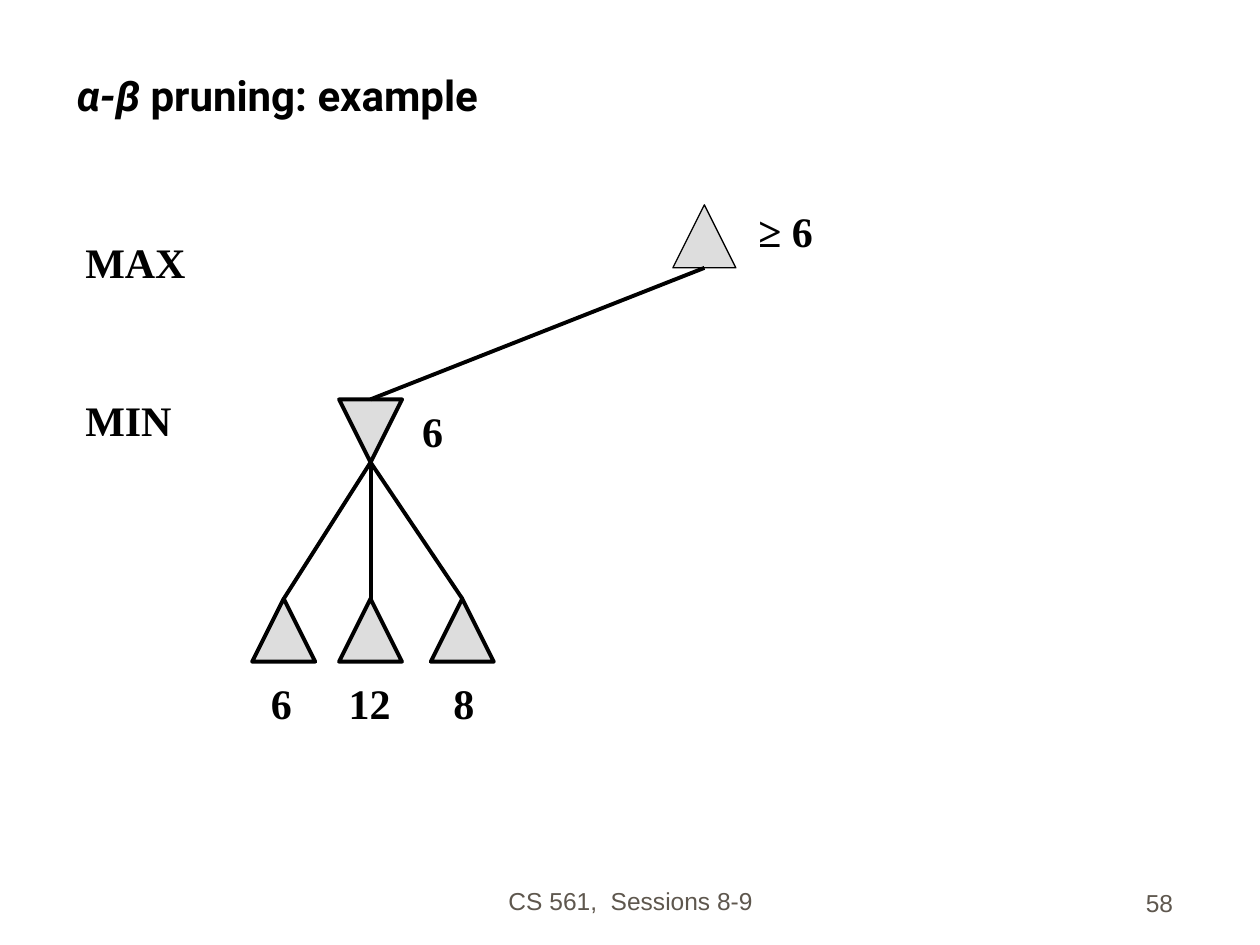
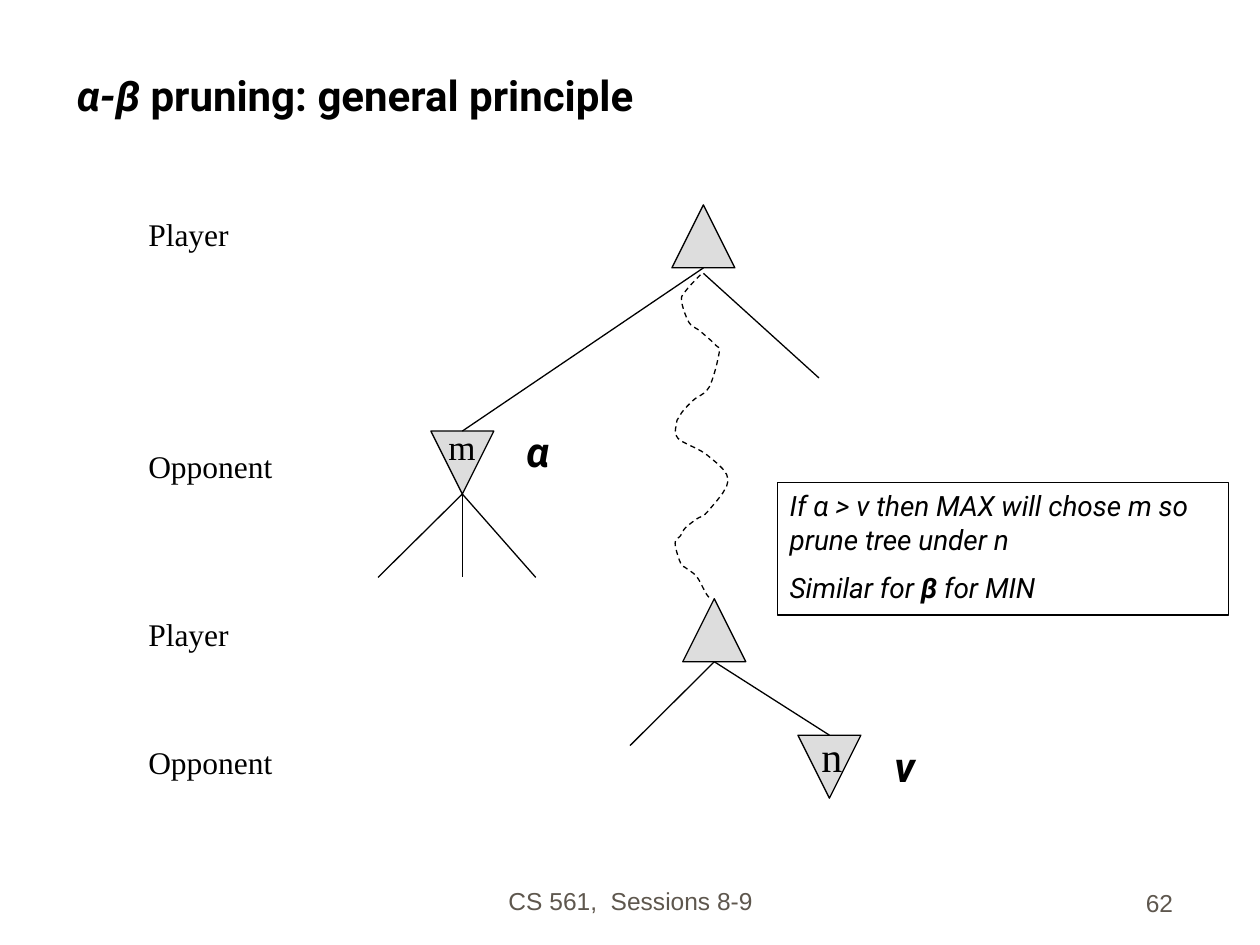
from dataclasses import dataclass

from lxml.etree import SubElement
from pptx import Presentation
from pptx.dml.color import RGBColor
from pptx.enum.dml import MSO_LINE
from pptx.enum.shapes import MSO_CONNECTOR, MSO_SHAPE
from pptx.enum.text import MSO_ANCHOR, PP_ALIGN
from pptx.oxml.ns import qn
from pptx.util import Cm, Pt


@dataclass(frozen=True)
class Theme:
    ink: RGBColor = RGBColor(0x00, 0x00, 0x00)
    node_fill: RGBColor = RGBColor(0xDD, 0xDD, 0xDD)
    footer_ink: RGBColor = RGBColor(0x5E, 0x57, 0x4E)
    title_font: str = "Roboto"
    label_font: str = "Times New Roman"
    footer_font: str = "Arial"
    large: int = 24
    medium: int = 20
    level: int = 18
    rule: int = 16
    footer: int = 14
    thin: float = 0.75
    thick: float = 2.25


THEME = Theme()

# Content: all places and lengths are in centimetres
FOOTER = "CS 561,  Sessions 8-9"
NODE_SIZE = 1.27

BOLD_SERIF = dict(font=THEME.label_font, size=THEME.large, bold=True)
LEVEL_STYLE = dict(font=THEME.label_font, size=THEME.level)
VALUE_STYLE = dict(font=THEME.title_font, size=THEME.large, bold=True, italic=True)
RULE_STYLE = dict(font=THEME.title_font, size=THEME.rule, italic=True)

# Nodes: name -> (player, centre x, top, line width)
# Edges: (parent, child); loose branches: (parent, end point, gap below parent)
# Labels: (text, left, top, width, height, style)
EXAMPLE = dict(
    title=" pruning: example",
    number="58",
    line=THEME.thick,
    nodes={
        "root": ("max", 14.2, 4.13, THEME.thin),
        "min": ("min", 7.47, 8.05, THEME.thick),
        "leaf 6": ("max", 5.72, 12.07, THEME.thick),
        "leaf 12": ("max", 7.47, 12.07, THEME.thick),
        "leaf 8": ("max", 9.32, 12.07, THEME.thick),
    },
    edges=[("root", "min"), ("min", "leaf 6"), ("min", "leaf 12"), ("min", "leaf 8")],
    branches=[],
    labels=[
        ("≥ 6", 15.04, 4.01, 1.6, 1.27, BOLD_SERIF),
        ("6", 8.26, 8.05, 0.94, 1.27, BOLD_SERIF),
        ("MAX", 1.47, 4.65, 2.54, 1.27, BOLD_SERIF),
        ("MIN", 1.47, 7.82, 2.26, 1.27, BOLD_SERIF),
        ("6", 5.21, 13.54, 0.94, 1.27, BOLD_SERIF),
        ("12", 6.78, 13.54, 1.35, 1.27, BOLD_SERIF),
        ("8", 8.89, 13.54, 0.94, 1.27, BOLD_SERIF),
    ],
)

PRINCIPLE = dict(
    title=" pruning: general principle",
    number="62",
    line=THEME.thin,
    nodes={
        "root": ("max", 14.18, 4.13, THEME.thin),
        "m": ("min", 9.32, 8.69, THEME.thin),
        "lower max": ("max", 14.4, 12.07, THEME.thin),
        "n": ("min", 16.72, 14.82, THEME.thin),
    },
    edges=[("root", "m"), ("lower max", "n")],
    branches=[
        ("root", (16.51, 7.62), 0.11),
        ("m", (7.62, 11.64), 0),
        ("m", (9.32, 11.64), 0),
        ("m", (10.8, 11.64), 0),
        ("lower max", (12.7, 15.03), 0),
    ],
    labels=[
        ("Player", 2.74, 4.22, 2.13, 1.02, LEVEL_STYLE),
        ("Opponent", 2.74, 8.89, 3.02, 1.02, LEVEL_STYLE),
        ("Player", 2.74, 12.27, 2.13, 1.02, LEVEL_STYLE),
        ("Opponent", 2.74, 14.86, 3.02, 1.02, LEVEL_STYLE),
        ("m", 8.79, 8.46, 1.07, 1.09, dict(font=THEME.label_font, size=THEME.medium)),
        ("n", 16.31, 14.61, 0.84, 1.27, dict(font=THEME.label_font, size=THEME.large)),
        ("α", 10.36, 8.46, 0.94, 1.27, VALUE_STYLE),
        ("v", 17.78, 14.81, 1.27, 1.27, VALUE_STYLE),
    ],
)

PRUNING_RULE = [
    [("If α > v then MAX will chose m so prune tree under n", RULE_STYLE)],
    [
        ("Similar for ", RULE_STYLE),
        ("β", dict(RULE_STYLE, bold=True)),
        (" for MIN", RULE_STYLE),
    ],
]

DEEP_PATH = [
    (14.12, 5.54), (13.82, 5.87), (13.74, 6.07), (13.89, 6.5), (14.12, 6.68),
    (14.43, 6.96), (14.5, 7.11), (14.3, 7.8), (14, 8.05), (13.79, 8.26),
    (13.69, 8.41), (13.64, 8.53), (13.67, 8.84), (14.25, 9.17), (14.68, 9.68),
    (14.27, 10.31), (14.05, 10.46), (13.82, 10.64), (13.72, 10.8), (13.61, 10.95),
    (13.72, 11.35), (13.84, 11.46), (14.05, 11.63), (14.25, 11.99), (14.35, 12.07),
]


# Text
def add_run(paragraph, text, font, size, bold=False, italic=False, color=THEME.ink):
    run = paragraph.add_run()
    run.text = text
    run.font.name = font
    run.font.size = Pt(size)
    run.font.bold = bold
    run.font.italic = italic
    run.font.color.rgb = color


def add_text(slide, box, runs, align=PP_ALIGN.LEFT, anchor=MSO_ANCHOR.TOP):
    frame = slide.shapes.add_textbox(*map(Cm, box)).text_frame
    frame.word_wrap = False
    frame.vertical_anchor = anchor
    frame.paragraphs[0].alignment = align
    for text, style in runs:
        add_run(frame.paragraphs[0], text, **style)


# Tree parts
def set_line(shape, width):
    shape.line.color.rgb = THEME.ink
    shape.line.width = Pt(width)


def add_node(slide, player, center, top, width):
    node = slide.shapes.add_shape(
        MSO_SHAPE.ISOSCELES_TRIANGLE,
        Cm(center - NODE_SIZE / 2), Cm(top), Cm(NODE_SIZE), Cm(NODE_SIZE),
    )
    node.rotation = 180 if player == "min" else 0
    node.shadow.inherit = False
    node.fill.solid()
    node.fill.fore_color.rgb = THEME.node_fill
    set_line(node, width)


def add_edge(slide, start, end, width):
    edge = slide.shapes.add_connector(MSO_CONNECTOR.STRAIGHT, *map(Cm, start + end))
    set_line(edge, width)
    SubElement(edge._element.spPr, qn("a:effectLst"))


def smooth(points, steps=5):
    """Catmull-Rom curve through the points."""
    padded = [points[0], *points, points[-1]]
    curve = [points[0]]
    for a, b, c, d in zip(padded, padded[1:], padded[2:], padded[3:]):
        for step in range(1, steps + 1):
            t = step / steps
            curve.append(tuple(
                (2 * q + (r - p) * t + (2 * p - 5 * q + 4 * r - s) * t**2
                 + (3 * q - p - 3 * r + s) * t**3) / 2
                for p, q, r, s in zip(a, b, c, d)
            ))
    return curve


def add_deep_path(slide):
    start, *rest = [(Cm(x), Cm(y)) for x, y in smooth(DEEP_PATH)]
    builder = slide.shapes.build_freeform(*start)
    builder.add_line_segments(rest, close=False)
    deep_path = builder.convert_to_shape()
    deep_path.shadow.inherit = False
    deep_path.fill.background()
    set_line(deep_path, THEME.thin)
    deep_path.line.dash_style = MSO_LINE.DASH


def add_pruning_rule(slide):
    rule = slide.shapes.add_shape(
        MSO_SHAPE.RECTANGLE, Cm(15.67), Cm(9.73), Cm(9.09), Cm(2.67))
    rule.shadow.inherit = False
    rule.fill.background()
    set_line(rule, THEME.thin)
    frame = rule.text_frame
    frame.word_wrap = True
    frame.vertical_anchor = MSO_ANCHOR.TOP
    for index, runs in enumerate(PRUNING_RULE):
        paragraph = frame.add_paragraph() if index else frame.paragraphs[0]
        paragraph.alignment = PP_ALIGN.LEFT
        paragraph.space_before = Cm(0.3 if index else 0)
        for text, style in runs:
            add_run(paragraph, text, **style)


# Slides
def add_tree_slide(deck, content):
    slide = deck.slides.add_slide(deck.slide_layouts[6])

    # Footer and title
    footer_style = dict(
        font=THEME.footer_font, size=THEME.footer, color=THEME.footer_ink)
    add_text(slide, (8.69, 17.3, 8.05, 1.27), [(FOOTER, footer_style)],
             PP_ALIGN.CENTER, MSO_ANCHOR.BOTTOM)
    add_text(slide, (18.62, 17.35, 5.28, 1.27), [(content["number"], footer_style)],
             PP_ALIGN.RIGHT, MSO_ANCHOR.BOTTOM)
    title_style = dict(font=THEME.title_font, size=THEME.large, bold=True)
    add_text(slide, (1.3, 0.64, 22.66, 1.9),
             [("α-β", dict(title_style, italic=True)), (content["title"], title_style)],
             anchor=MSO_ANCHOR.BOTTOM)

    # Tree
    nodes = content["nodes"]
    for node in nodes.values():
        add_node(slide, *node)
    links = [(parent, nodes[child][1:3], 0) for parent, child in content["edges"]]
    for parent, end, gap in links + content["branches"]:
        _, center, top, _ = nodes[parent]
        add_edge(slide, (center, top + NODE_SIZE + gap), end, content["line"])

    # Labels
    for text, *box, style in content["labels"]:
        add_text(slide, box, [(text, style)])
    return slide


def main():
    deck = Presentation()
    deck.slide_width, deck.slide_height = Cm(25.4), Cm(19.05)
    add_tree_slide(deck, EXAMPLE)
    principle = add_tree_slide(deck, PRINCIPLE)
    add_deep_path(principle)
    add_pruning_rule(principle)
    deck.save("out.pptx")


if __name__ == "__main__":
    main()
